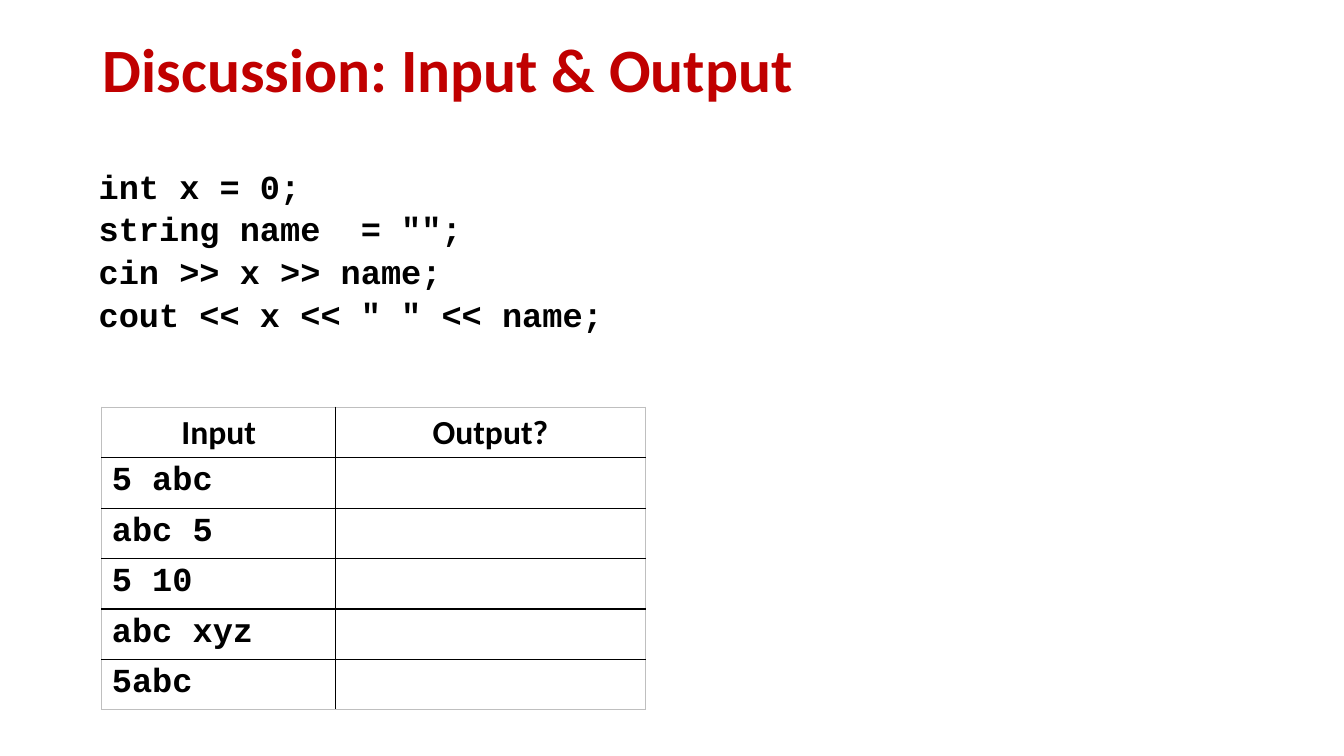
from pptx import Presentation, util as u
from pptx.dml.color import RGBColor
from pptx.enum import text
from pptx.oxml import parse_xml
from pptx.oxml.ns import nsdecls

PX = 9144
SANS, MONO = "Calibri", "Courier New"


def style(par, words, size, face, color, **form):
    run = par.add_run()
    run.text = words
    for key, val in dict(size=u.Pt(size), name=face, bold=True).items():
        setattr(run.font, key, val)
    run.font.color.rgb = RGBColor.from_string(color)
    for key, val in form.items():
        setattr(par, key, val)


def edge(cell, side, color):
    cell._tc.get_or_add_tcPr().append(parse_xml(
        f'<a:{side} {nsdecls("a")} w="12700"><a:solidFill>'
        f'<a:srgbClr val="{color}"/></a:solidFill></a:{side}>'))


deck = Presentation()
deck.slide_width, deck.slide_height = 1333 * PX, 750 * PX
slide = deck.slides.add_slide(deck.slide_layouts[5])

title = slide.shapes.title
for key, val in dict(left=92, top=23, width=1150, height=98).items():
    setattr(title, key, val * PX)
title.text_frame.vertical_anchor = text.MSO_ANCHOR.MIDDLE
style(title.text_frame.paragraphs[0], "Discussion: Input & Output", 44, SANS,
      "C00000", alignment=text.PP_ALIGN.LEFT, line_spacing=0.9)

code = slide.shapes.add_textbox(*(n * PX for n in (88, 157, 567, 212))).text_frame
code.word_wrap = True
lines = ["int x = 0;", 'string name  = "";', "cin >> x >> name;",
         'cout << x << " " << name;']
for i, line in enumerate(lines):
    par = code.add_paragraph() if i else code.paragraphs[0]
    style(par, line, 24, MONO, "000000", line_spacing=1.06)

heads = ["Input", "Output?"]
tests = ["5 abc", "abc 5", "5 10", "abc xyz", "5abc"]
rows = [heads] + [[test, ""] for test in tests]
wide = [232, 307]
high = 50
grid = slide.shapes.add_table(
    len(rows), len(wide), 101 * PX, 404 * PX, sum(wide) * PX,
    high * len(rows) * PX).table
grid.first_row = grid.horz_banding = False
for col, width in zip(grid.columns, wide):
    col.width = width * PX

for r, row in enumerate(rows):
    for c, words in enumerate(row):
        cell = grid.cell(r, c)
        rims = dict(lnL=c == 0, lnR=c == len(wide) - 1,
                    lnT=r == 0, lnB=r == len(rows) - 1)
        for side, rim in rims.items():
            edge(cell, side, "BFBFBF" if rim else "000000")
        cell.fill.background()
        if words:
            style(cell.text_frame.paragraphs[0], words, 24, MONO if r else SANS,
                  "000000", alignment=text.PP_ALIGN.LEFT if r else text.PP_ALIGN.CENTER)

deck.save("out.pptx")
